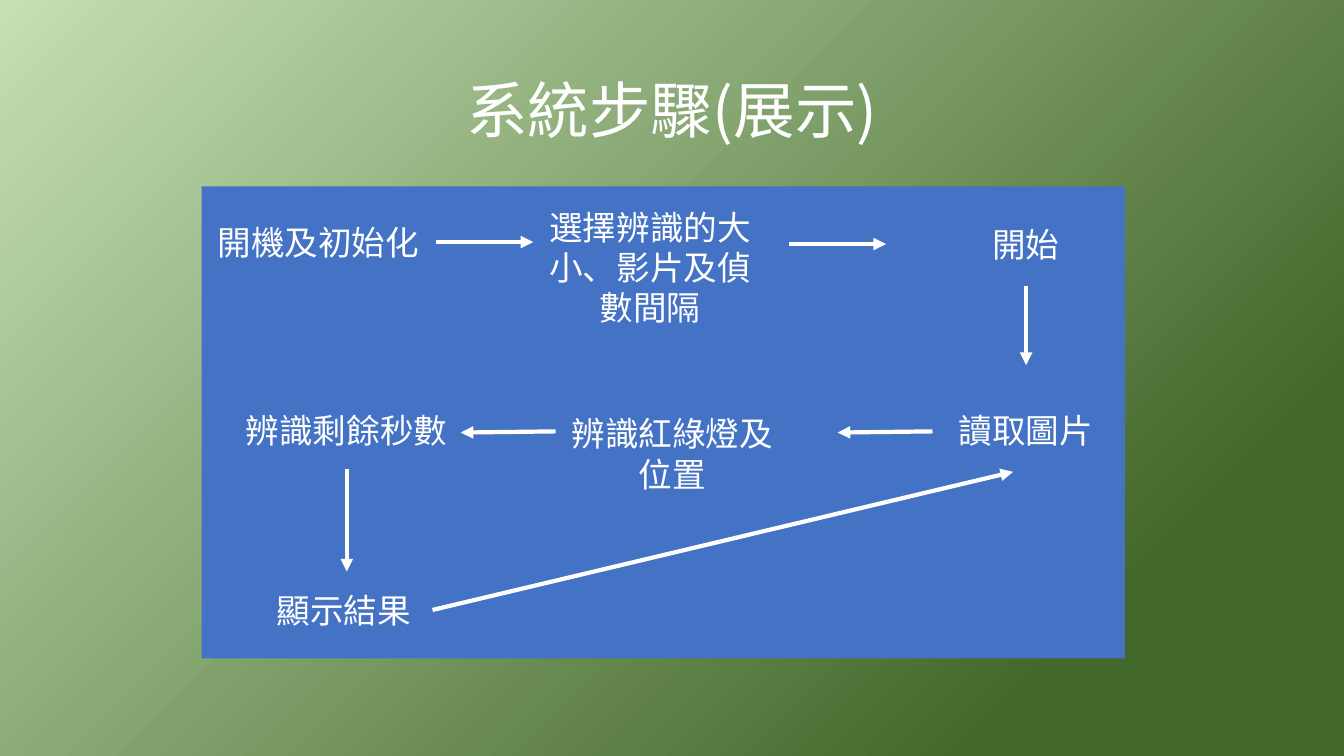
from dataclasses import dataclass

import lxml.etree
import pptx
import pptx.dml.color
import pptx.enum.shapes
import pptx.enum.text
import pptx.oxml.ns
import pptx.util

Cm = pptx.util.Cm
RGB = pptx.dml.color.RGBColor.from_string


@dataclass(frozen=True)
class Theme:
    """Colours, font and sizes of the slide."""
    light: str = "C5E0B4"
    dark: str = "43682B"
    panel: str = "4472C4"
    ink: str = "FFFFFF"
    font: str = "Noto Sans CJK SC"
    title_size: int = 44
    step_size: int = 24
    arrow_width: int = 3


THEME = Theme()
STEP_WIDTH = 5.89
STEPS = [
    ("開機及初始化", 0, 0.76, 1.28),
    ("選擇辨識的大小、影片及偵數間隔", 8.36, 0.38, 3.33),
    ("開始", 17.83, 0.81, 1.28),
    ("讀取圖片", 17.83, 5.51, 1.28),
    ("辨識紅綠燈及位置", 8.92, 5.59, 2.31),
    ("辨識剩餘秒數", 0.71, 5.51, 1.28),
    ("顯示結果", 0.64, 10.03, 1.28),
]
ARROWS = [
    (5.92, 1.4, 8.36, 1.4),
    (14.81, 1.45, 17.25, 1.45),
    (20.78, 2.51, 20.78, 4.5),
    (18.42, 6.17, 16.03, 6.2),
    (8.92, 6.17, 6.53, 6.2),
    (3.66, 7.11, 3.66, 9.7),
    (5.82, 10.67, 20.45, 7.19),
]


def add_xml(parent, tag, **attributes):
    """Append a DrawingML element to its parent."""
    return lxml.etree.SubElement(parent, pptx.oxml.ns.qn(tag), **attributes)


def write(frame, text, *, size, anchor=pptx.enum.text.MSO_ANCHOR.TOP, spacing=None):
    """Write centred text into a text frame."""
    frame.word_wrap = True
    frame.auto_size = pptx.enum.text.MSO_AUTO_SIZE.NONE
    frame.vertical_anchor = anchor
    paragraph = frame.paragraphs[0]
    paragraph.alignment = pptx.enum.text.PP_ALIGN.CENTER
    paragraph.line_spacing = spacing
    run = paragraph.add_run()
    run.text = text
    run.font.size = pptx.util.Pt(size)
    run.font.color.rgb = RGB(THEME.ink)
    run.font.name = THEME.font
    add_xml(run.font._element, "a:ea", typeface=THEME.font)


def paint_background(slide):
    """Fill the slide with the diagonal green gradient."""
    fill = slide.background.fill
    fill.gradient()
    fill.gradient_angle = 315
    for stop, color, position in zip(fill.gradient_stops, (THEME.light, THEME.dark), (0, 0.82)):
        stop.color.rgb = RGB(color)
        stop.position = position


def place_title(slide, left, top, width, height):
    """Place and format the slide title."""
    title = slide.shapes.title
    title.left, title.top, title.width, title.height = map(Cm, (left, top, width, height))
    write(title.text_frame, "系統步驟(展示)", size=THEME.title_size,
          anchor=pptx.enum.text.MSO_ANCHOR.MIDDLE, spacing=0.9)


def add_arrow(shapes, start_x, start_y, end_x, end_y):
    """Draw a straight arrow between two points."""
    arrow = shapes.add_connector(pptx.enum.shapes.MSO_CONNECTOR.STRAIGHT,
                                 *map(Cm, (start_x, start_y, end_x, end_y)))
    arrow.line.color.rgb = RGB(THEME.ink)
    arrow.line.width = pptx.util.Pt(THEME.arrow_width)
    add_xml(arrow.line._get_or_add_ln(), "a:tailEnd", type="triangle")
    add_xml(arrow._element.spPr, "a:effectLst")


def draw_flow(slide, left, top, width, height):
    """Draw the panel with its steps and arrows."""
    shapes = slide.shapes.add_group_shape().shapes
    panel = shapes.add_shape(pptx.enum.shapes.MSO_SHAPE.RECTANGLE,
                             *map(Cm, (left, top, width, height)))
    panel.shadow.inherit = False
    panel.fill.solid()
    panel.fill.fore_color.rgb = RGB(THEME.panel)
    panel.line.fill.background()
    for text, x, y, step_height in STEPS:
        step = shapes.add_textbox(*map(Cm, (left + x, top + y, STEP_WIDTH, step_height)))
        write(step.text_frame, text, size=THEME.step_size)
    for start_x, start_y, end_x, end_y in ARROWS:
        add_arrow(shapes, left + start_x, top + start_y, left + end_x, top + end_y)


def main():
    """Build and save the presentation."""
    deck = pptx.Presentation()
    deck.slide_width, deck.slide_height = Cm(33.87), Cm(19.05)
    slide = deck.slides.add_slide(deck.slide_layouts.get_by_name("Title Only"))
    paint_background(slide)
    place_title(slide, 2.33, 1.01, 29.21, 3.68)
    draw_flow(slide, 5.08, 4.7, 23.27, 11.89)
    deck.save("out.pptx")


if __name__ == "__main__":
    main()
